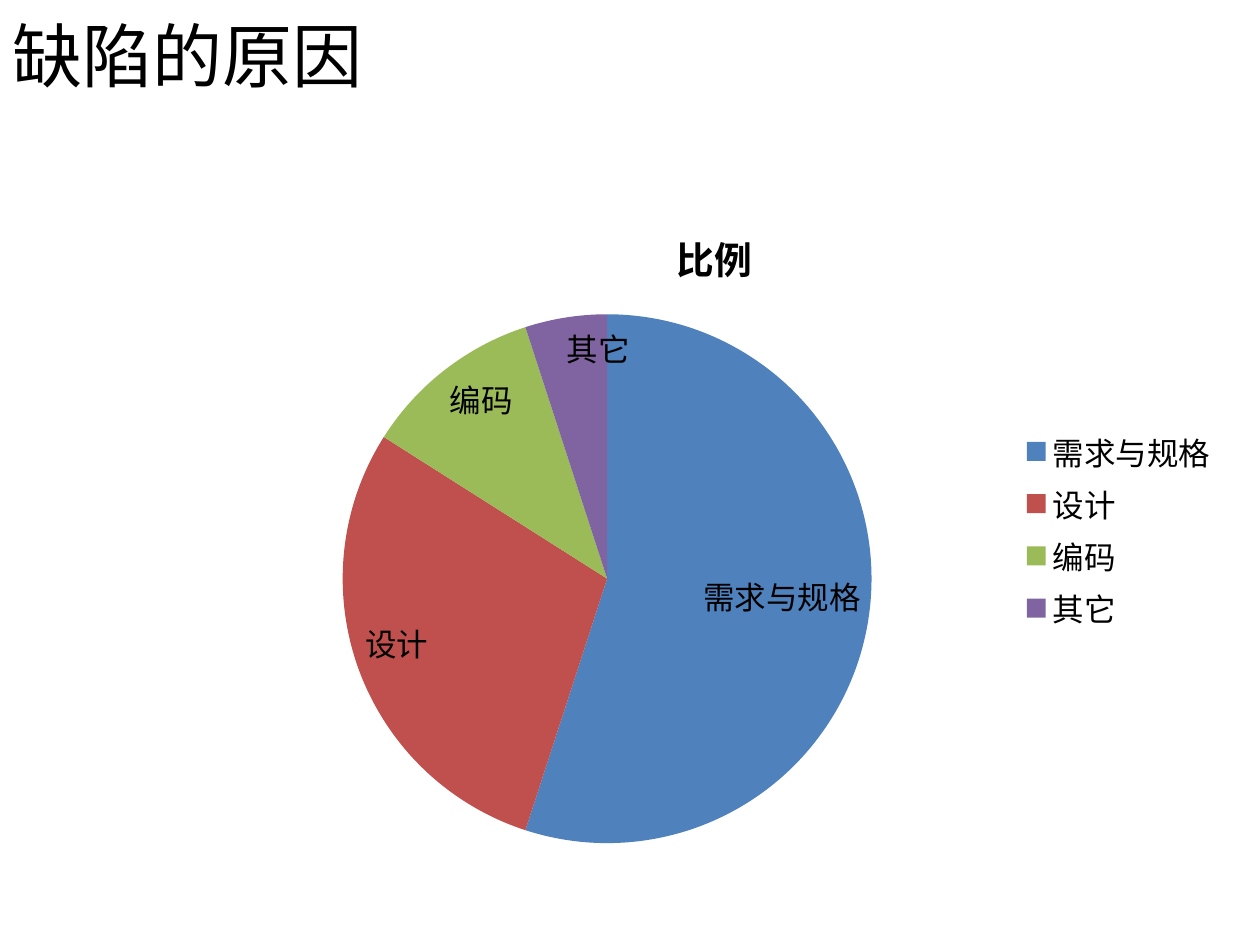
from typing import NamedTuple

import pptx
import pptx.chart.data
import pptx.dml.color
import pptx.enum.chart
import pptx.enum.text
import pptx.util
from pptx.util import Inches

BLACK = pptx.dml.color.RGBColor(0x00, 0x00, 0x00)
WHITE = pptx.dml.color.RGBColor(0xFF, 0xFF, 0xFF)
BLUE = pptx.dml.color.RGBColor(0x4F, 0x81, 0xBD)
RED = pptx.dml.color.RGBColor(0xC0, 0x50, 0x4D)
GREEN = pptx.dml.color.RGBColor(0x9B, 0xBB, 0x59)
PURPLE = pptx.dml.color.RGBColor(0x80, 0x64, 0xA2)
FONT = "Calibri"


class Cause(NamedTuple):
    name: str
    share: int
    color: pptx.dml.color.RGBColor


CAUSES = [
    Cause("需求与规格", 55, BLUE),
    Cause("设计", 29, RED),
    Cause("编码", 11, GREEN),
    Cause("其它", 5, PURPLE),
]


def style_font(font, size: float, bold: bool = False) -> None:
    font.name = FONT
    font.size = pptx.util.Pt(size)
    font.bold = bold
    font.color.rgb = BLACK


def add_heading(slide, text: str) -> None:
    heading = slide.shapes.add_textbox(Inches(0), Inches(0.07), Inches(9), Inches(0.72))
    frame = heading.text_frame
    frame.word_wrap = True
    frame.vertical_anchor = pptx.enum.text.MSO_ANCHOR.MIDDLE
    frame.text = text
    style_font(frame.paragraphs[0].runs[0].font, 40)


def add_cause_pie(slide, title: str, causes: list[Cause]) -> None:
    shares = pptx.chart.data.CategoryChartData()
    shares.categories = [cause.name for cause in causes]
    shares.add_series(title, [cause.share for cause in causes])
    pie = slide.shapes.add_chart(
        pptx.enum.chart.XL_CHART_TYPE.PIE,
        Inches(1.57), Inches(1.58), Inches(8.2), Inches(5.25), shares,
    ).chart
    style_font(pie.font, 18)

    pie.has_title = True
    pie.chart_title.include_in_layout = False
    pie.chart_title.text_frame.text = title
    style_font(pie.chart_title.text_frame.paragraphs[0].runs[0].font, 21.6, bold=True)

    pie.has_legend = True
    pie.legend.position = pptx.enum.chart.XL_LEGEND_POSITION.RIGHT
    pie.legend.include_in_layout = False
    style_font(pie.legend.font, 18)

    plot = pie.plots[0]
    plot.vary_by_categories = True
    for index, cause in enumerate(causes):
        fill = plot.series[0].points[index].format.fill
        fill.solid()
        fill.fore_color.rgb = cause.color

    labels = plot.series[0].data_labels
    labels.show_category_name = True
    labels.show_value = False
    labels.show_percentage = False
    labels.position = pptx.enum.chart.XL_LABEL_POSITION.INSIDE_END
    style_font(labels.font, 18)


def main() -> None:
    deck = pptx.Presentation()
    deck.slide_width, deck.slide_height = Inches(10), Inches(7.5)
    slide = deck.slides.add_slide(deck.slide_layouts[6])
    slide.background.fill.solid()
    slide.background.fill.fore_color.rgb = WHITE
    add_heading(slide, "缺陷的原因")
    add_cause_pie(slide, "比例", CAUSES)
    deck.save("out.pptx")


if __name__ == "__main__":
    main()
